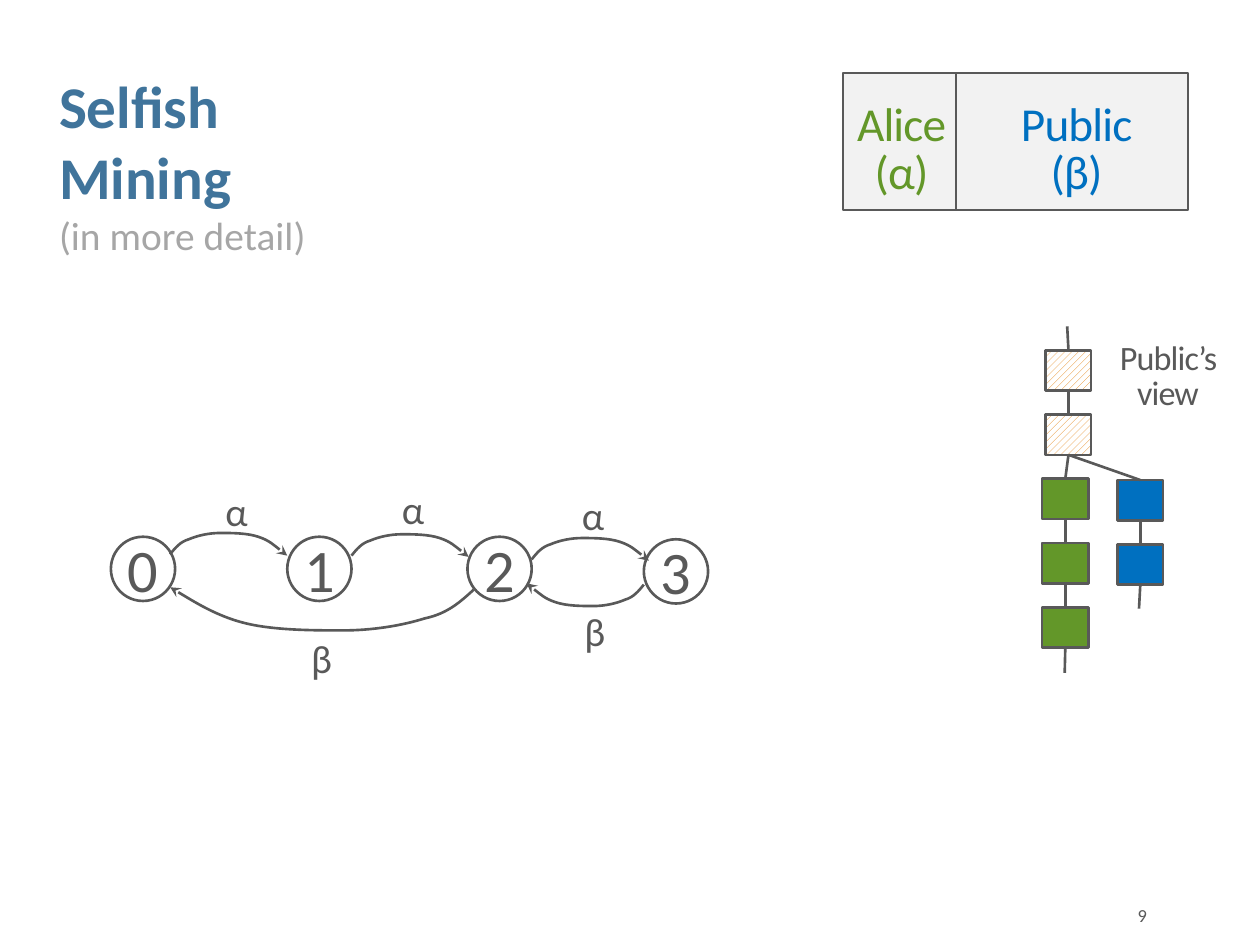
import pptx
import pptx.util
import pptx.dml.color
import pptx.enum.dml
import pptx.enum.shapes
import pptx.enum.text
import pptx.oxml.ns
from lxml import etree

HUES = dict(ink="595959", title="40749B", soft="A6A6A6", alice="639729",
            public="0070C0", panel="F2F2F2", hatch="E48312", white="FFFFFF")
COLS, ROWS = 100, 75
SHAPE = pptx.enum.shapes.MSO_SHAPE
ALIGN = pptx.enum.text.PP_ALIGN
ANCHOR = pptx.enum.text.MSO_ANCHOR
qn = pptx.oxml.ns.qn

# Points of a state arrow from its start: each row is two handles and an end.
BEND = [[(0.4, -0.5), (0.8, -1), (1.5, -1.2)],
        [(2.2, -1.5), (3.1, -1.7), (4, -1.7)],
        [(4.9, -1.7), (6.1, -1.7), (7, -1.4)],
        [(7.9, -1.1), (9.3, 0.1), (9.3, 0.1)]]


def hue(name):
    return pptx.dml.color.RGBColor.from_string(HUES[name])


class Deck:
    """Style and current slide; lengths are in columns and rows."""

    font = "Calibri"
    edge = 1.5
    tight = dict(alignment=ALIGN.CENTER, line_spacing=0.85)

    def __init__(self):
        self.prs = pptx.Presentation()
        self.prs.slide_width = pptx.util.Inches(10)
        self.prs.slide_height = pptx.util.Inches(7.5)
        self.slide = self.prs.slides.add_slide(self.prs.slide_layouts[6])
        self.items = self.slide.shapes

    def emu(self, *nums):
        """Turn alternating columns and rows into lengths."""
        units = self.prs.slide_width / COLS, self.prs.slide_height / ROWS
        return [round(n * units[i % 2]) for i, n in enumerate(nums)]

    def text(self, box, lines, para=None, anchor=ANCHOR.TOP, spc=0):
        """Each line is (words, size, colour, bold)."""
        frame = self.items.add_textbox(*self.emu(*box)).text_frame
        frame.word_wrap = True
        frame.vertical_anchor = anchor
        for i, (words, size, tint, bold) in enumerate(lines):
            par = frame.add_paragraph() if i else frame.paragraphs[0]
            for key, val in (para or {}).items():
                setattr(par, key, val)
            run = par.add_run()
            run.text = words
            look = dict(name=self.font, size=pptx.util.Pt(size), bold=bold)
            for key, val in look.items():
                setattr(run.font, key, val)
            run.font.color.rgb = hue(tint)
            if spc:
                run.font._element.set("spc", str(spc))

    def label(self, box, words, size, tint="ink"):
        """Centred text with tight spacing, one paragraph a word group."""
        lines = [(w, size, tint, False) for w in words]
        self.text(box, lines, self.tight, spc=-50)

    def pen(self, item, width=None):
        item.line.color.rgb = hue("ink")
        item.line.width = pptx.util.Pt(width or self.edge)

    def shape(self, kind, box, fill=None, width=None):
        item = self.items.add_shape(kind, *self.emu(*box))
        item.shadow.inherit = False
        if fill is None:
            item.fill.background()
        elif fill == "hatch":
            item.fill.patterned()
            item.fill.pattern = pptx.enum.dml.MSO_PATTERN.WIDE_UPWARD_DIAGONAL
            item.fill.fore_color.rgb = hue("hatch")
            item.fill.back_color.rgb = hue("white")
        else:
            item.fill.solid()
            item.fill.fore_color.rgb = hue(fill)
        self.pen(item, width)
        return item

    def link(self, start, end, width=None):
        """Line between points, or from a block's bottom to a block's top."""
        ends = [p if isinstance(p, tuple) else (0, 0) for p in (start, end)]
        line = self.items.add_connector(
            pptx.enum.shapes.MSO_CONNECTOR.STRAIGHT,
            *self.emu(*ends[0], *ends[1]))
        if not isinstance(start, tuple):
            line.begin_connect(start, 2)
        if not isinstance(end, tuple):
            line.end_connect(end, 0)
        self.pen(line, width)
        etree.SubElement(line._element.spPr, qn("a:effectLst"))

    def chain(self, left, top, wide, fill, count):
        """Column of blocks, each linked to the next."""
        blocks = [self.shape(SHAPE.RECTANGLE, (left, top + 5.1 * i, wide, 3.2), fill)
                  for i in range(count)]
        for pair in zip(blocks, blocks[1:]):
            self.link(*pair)
        return blocks

    def arc(self, x, y, sx=1, sy=1):
        """Curved arrow: the common bend, scaled or flipped."""
        rows = [[self.emu(x + sx * a, y + sy * b) for a, b in row] for row in BEND]
        pen = self.items.build_freeform(*self.emu(x, y), scale=1.0)
        pen.add_line_segments([row[-1] for row in rows], close=False)
        item = pen.convert_to_shape()
        item.shadow.inherit = False
        item.fill.background()
        self.pen(item)
        spot = item.left, item.top
        props = item._element.spPr
        for seg, row in zip(list(props.iter(qn("a:lnTo"))), rows):
            seg.tag = qn("a:cubicBezTo")
            for i, (px, py) in enumerate(row[:2]):
                knob = etree.Element(qn("a:pt"), x=str(px - spot[0]), y=str(py - spot[1]))
                seg.insert(i, knob)
        etree.SubElement(props.find(qn("a:ln")), qn("a:tailEnd"), type="stealth")

    def state(self, name, left, top):
        self.shape(SHAPE.OVAL, (left, top, 5.1, 5.1))
        self.label((left - 1.7, top, 8.5, 5.4), [name], 34.5)

    def mark(self, sign, left, top):
        self.text((left, top, 3.8, 4.8), [(sign, 22.5, "ink", False)])


def main():
    deck = Deck()
    deck.text((81.2, 70.6, 10.8, 4), [("9", 10.5, "ink", False)],
              dict(alignment=ALIGN.RIGHT), ANCHOR.MIDDLE)
    deck.text((3.7, 5, 28.2, 10.5), [("Selfish Mining", 33.8, "title", True),
                                     ("(in more detail)", 22.5, "soft", False)])

    # Shares of mining power
    deck.shape(SHAPE.RECTANGLE, (66.9, 5.8, 27.4, 10.9), "panel", 1.25)
    deck.link((75.9, 5.8), (75.9, 16.7), 1)
    deck.label((67, 7.7, 9.1, 5.4), ["Alice", "(α)"], 27, "alice")
    deck.label((79.6, 7.7, 11.7, 5.4), ["Public", "(β)"], 27, "public")

    # State machine
    for i, (left, top) in enumerate([(8.8, 42.6), (22.8, 42.6), (37.1, 42.6), (51.1, 42.8)]):
        deck.state(str(i), left, top)
    for x, y in [(13.5, 44), (27.9, 44.1), (42.2, 44.4)]:
        deck.arc(x, y)
    deck.arc(51.1, 46.4, -1, -1)
    deck.arc(37.6, 46.8, -2.59, -1.9)
    for sign, left, top in [("α", 16.9, 38.2), ("α", 30.9, 38), ("α", 45.2, 38.5),
                            ("β", 45.4, 47.7), ("β", 23.7, 49.8)]:
        deck.mark(sign, left, top)

    # Forked block chain
    deck.label((87, 26.7, 11.4, 5.4), ["Public’s view"], 19.5)
    past = deck.chain(83, 27.8, 3.6, "hatch", 2)
    alice = deck.chain(82.7, 38, 3.7, "alice", 3)
    public = deck.chain(88.7, 38.1, 3.6, "public", 2)
    deck.link((84.7, 25.9), past[0])
    deck.link(past[-1], alice[0])
    deck.link(past[-1], public[0])
    deck.link(alice[-1], (84.5, 53.4))
    deck.link(public[-1], (90.4, 48.3))

    deck.prs.save("out.pptx")


if __name__ == "__main__":
    main()
